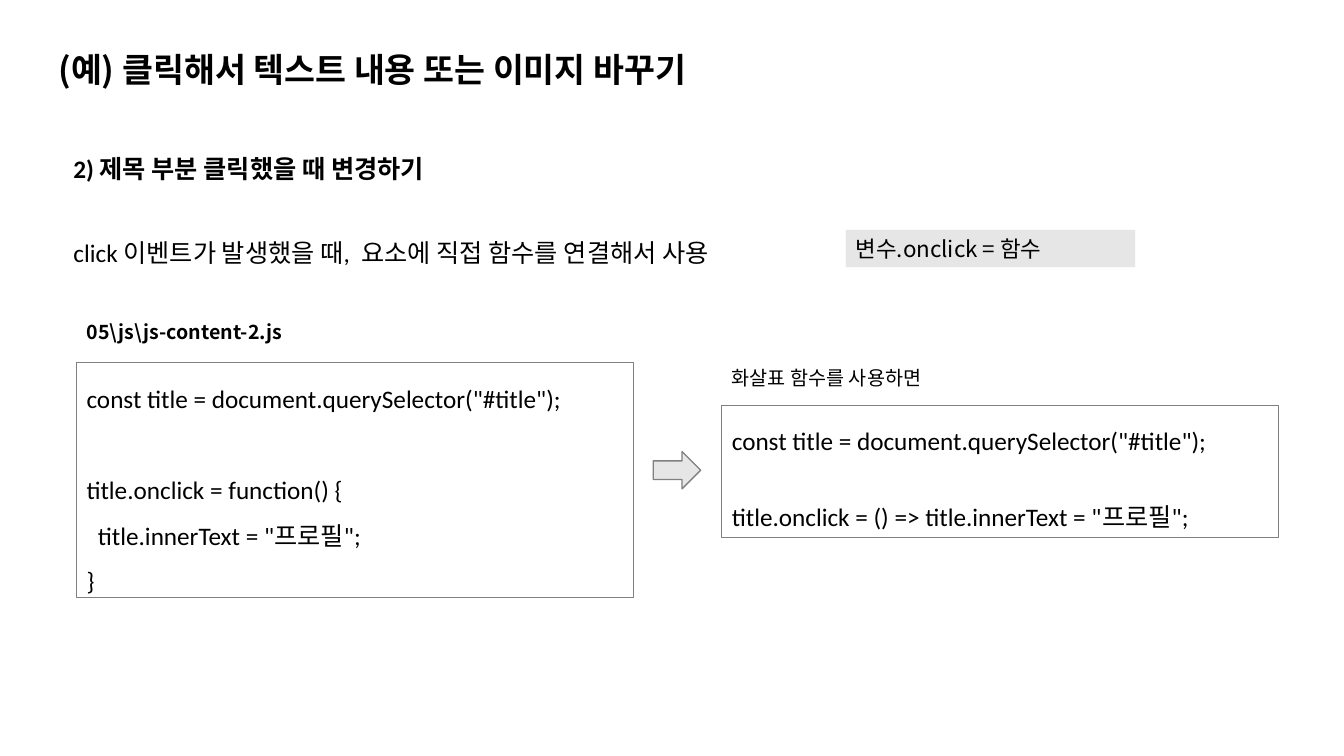
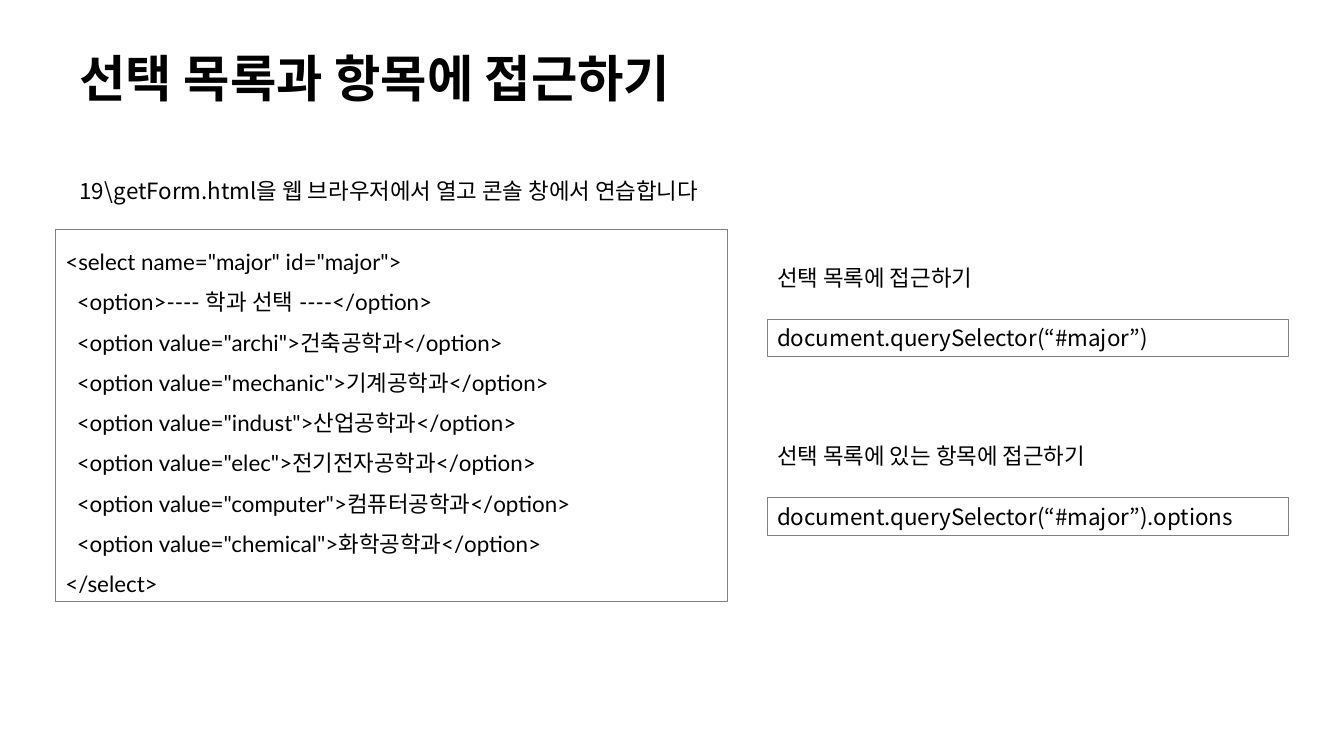
"""Builds two slides on handling clicks and reading a select list."""
from lxml import etree
from pptx import Presentation
from pptx.dml.color import RGBColor
from pptx.enum.shapes import MSO_SHAPE
from pptx.enum.text import MSO_ANCHOR, PP_ALIGN
from pptx.oxml.ns import qn
from pptx.util import Inches, Pt

RIGHT_ARROW = MSO_SHAPE.RIGHT_ARROW
TOP, MIDDLE = MSO_ANCHOR.TOP, MSO_ANCHOR.MIDDLE
LEFT = PP_ALIGN.LEFT

BLACK, GRAY, PALE = "000000", "808080", "E7E6E6"
HANGUL, BODY, CODE = "Noto Sans CJK KR", "Calibri", "Lato"
BLANK_LAYOUT = 6
CODE_LINE_GAP = 33

CLICK_CODE = '''const title = document.querySelector("#title");

title.onclick = function() {
  title.innerText = "프로필";
}'''
ARROW_CODE = '''const title = document.querySelector("#title");

title.onclick = () => title.innerText = "프로필";'''
SELECT_CODE = '''<select name="major" id="major">
  <option>---- 학과 선택 ----</option>
  <option value="archi">건축공학과</option>
  <option value="mechanic">기계공학과</option>
  <option value="indust">산업공학과</option>
  <option value="elec">전기전자공학과</option>
  <option value="computer">컴퓨터공학과</option>
  <option value="chemical">화학공학과</option>
</select>'''
ACCESS_EXAMPLES = [
    ("선택 목록에 접근하기", "document.querySelector(“#major”)"),
    ("선택 목록에 있는 항목에 접근하기", "document.querySelector(“#major”).options"),
]


def color(code):
    """Return the colour for a hex string."""
    return RGBColor.from_string(code)


def style_span(span, font, size, bold):
    """Format one run, with the same font for Latin and Korean letters."""
    span.font.name = font
    span.font.size = Pt(size)
    span.font.bold = bold
    span.font.color.rgb = color(BLACK)
    latin = span.font._element.find(qn("a:latin"))
    east_asian = etree.Element(qn("a:ea"), typeface=font)
    latin.addnext(east_asian)


def add_text(page, text, left, top, width, height, *, font=HANGUL, size=16,
             bold=False, spacing=1.0, last_spacing=None, anchor=TOP,
             wrap=True, fill=None, line=None):
    """Add a text box; an empty line in the text becomes space before the next."""
    box = page.shapes.add_textbox(
        Inches(left), Inches(top), Inches(width), Inches(height))
    if fill:
        box.fill.solid()
        box.fill.fore_color.rgb = color(fill)
    if line:
        box.line.color.rgb = color(line)
        box.line.width = Pt(0.75)
    frame = box.text_frame
    frame.word_wrap = wrap
    frame.vertical_anchor = anchor
    para, gap = frame.paragraphs[0], 0
    for number, row in enumerate(text.split("\n")):
        if not row:
            gap += CODE_LINE_GAP
            continue
        if number:
            para = frame.add_paragraph()
        para.alignment = LEFT
        para.line_spacing = spacing
        para.space_before = Pt(gap)
        gap = 0
        span = para.add_run()
        span.text = row
        style_span(span, font, size, bold)
    if last_spacing:
        para.line_spacing = last_spacing


def add_title(page, text, left, top, width, height, size, **style):
    """Add the bold slide title."""
    add_text(page, text, left, top, width, height, size=size, bold=True, **style)


def add_code(page, text, left, top, width, height, **style):
    """Add code in a thin gray frame."""
    add_text(page, text, left, top, width, height, line=GRAY, **style)


def add_arrow(page, left, top, width, height):
    """Add the block arrow between two code boxes."""
    arrow = page.shapes.add_shape(
        RIGHT_ARROW, Inches(left), Inches(top), Inches(width), Inches(height))
    arrow.shadow.inherit = False
    arrow.fill.solid()
    arrow.fill.fore_color.rgb = color(PALE)
    arrow.line.color.rgb = color(GRAY)
    arrow.line.width = Pt(1)


def build_click_page(page):
    """Fill the slide on the click event."""
    add_title(page, "(예) 클릭해서 텍스트 내용 또는 이미지 바꾸기",
              0.48, 0.44, 8.09, 0.5, 24)
    add_text(page, "2) 제목 부분 클릭했을 때 변경하기", 0.63, 1.47, 9.99, 0.4,
             font=BODY, size=18, bold=True)
    add_text(page, "click 이벤트가 발생했을 때,  요소에 직접 함수를 연결해서 사용",
             0.63, 2.15, 6.98, 0.51, font=BODY, size=18, spacing=1.5)
    add_text(page, "변수.onclick = 함수", 8.39, 2.28, 2.87, 0.37, fill=PALE)
    add_text(page, "05\\js\\js-content-2.js", 0.76, 3.12, 2.42, 0.34,
             size=14, bold=True)
    add_code(page, CLICK_CODE, 0.76, 3.6, 5.52, 2.33,
             font=BODY, size=18, spacing=1.5)
    add_arrow(page, 6.48, 4.48, 0.47, 0.37)
    add_text(page, "화살표 함수를 사용하면", 7.16, 3.58, 2.3, 0.34,
             size=14, wrap=False)
    add_code(page, ARROW_CODE, 7.16, 4.02, 5.52, 1.31,
             font=BODY, size=18, spacing=1.5, last_spacing=1.0)


def build_select_page(page):
    """Fill the slide on the select list."""
    add_title(page, "선택 목록과 항목에 접근하기", 0.69, 0.35, 9.74, 0.92, 36,
              spacing=0.9, anchor=MIDDLE)
    add_text(page, "19\\getForm.html을 웹 브라우저에서 열고 콘솔 창에서 연습합니다",
             0.69, 1.57, 8.82, 0.45, spacing=1.5)
    add_code(page, SELECT_CODE, 0.55, 2.28, 6.67, 3.69, font=CODE, spacing=1.5)
    for number, (label, code) in enumerate(ACCESS_EXAMPLES):
        top = 2.57 + 1.77 * number
        add_text(page, label, 7.61, top, 4.01, 0.37)
        add_code(page, code, 7.61, top + 0.6, 5.17, 0.37)


def main():
    """Build and save the deck."""
    deck = Presentation()
    deck.slide_width, deck.slide_height = Inches(13.33), Inches(7.5)
    for build in (build_click_page, build_select_page):
        build(deck.slides.add_slide(deck.slide_layouts[BLANK_LAYOUT]))
    deck.save("out.pptx")


if __name__ == "__main__":
    main()
